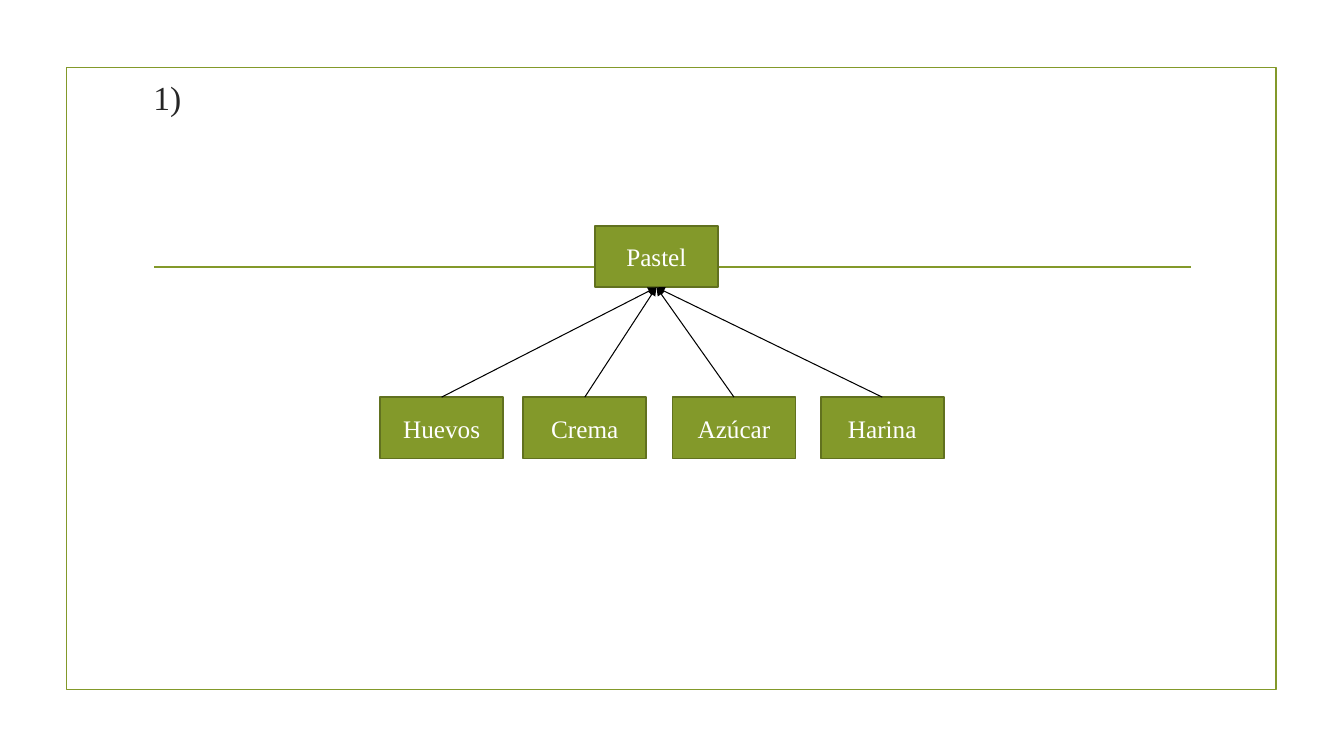
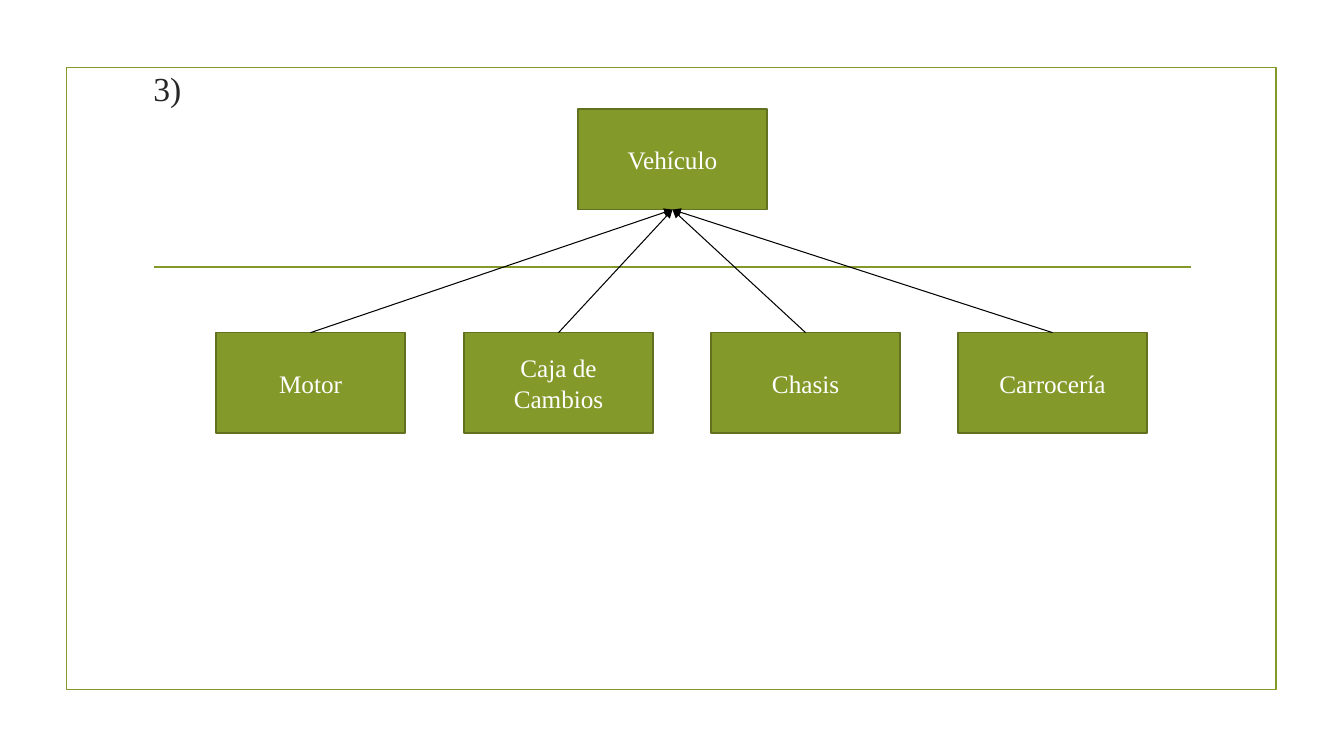
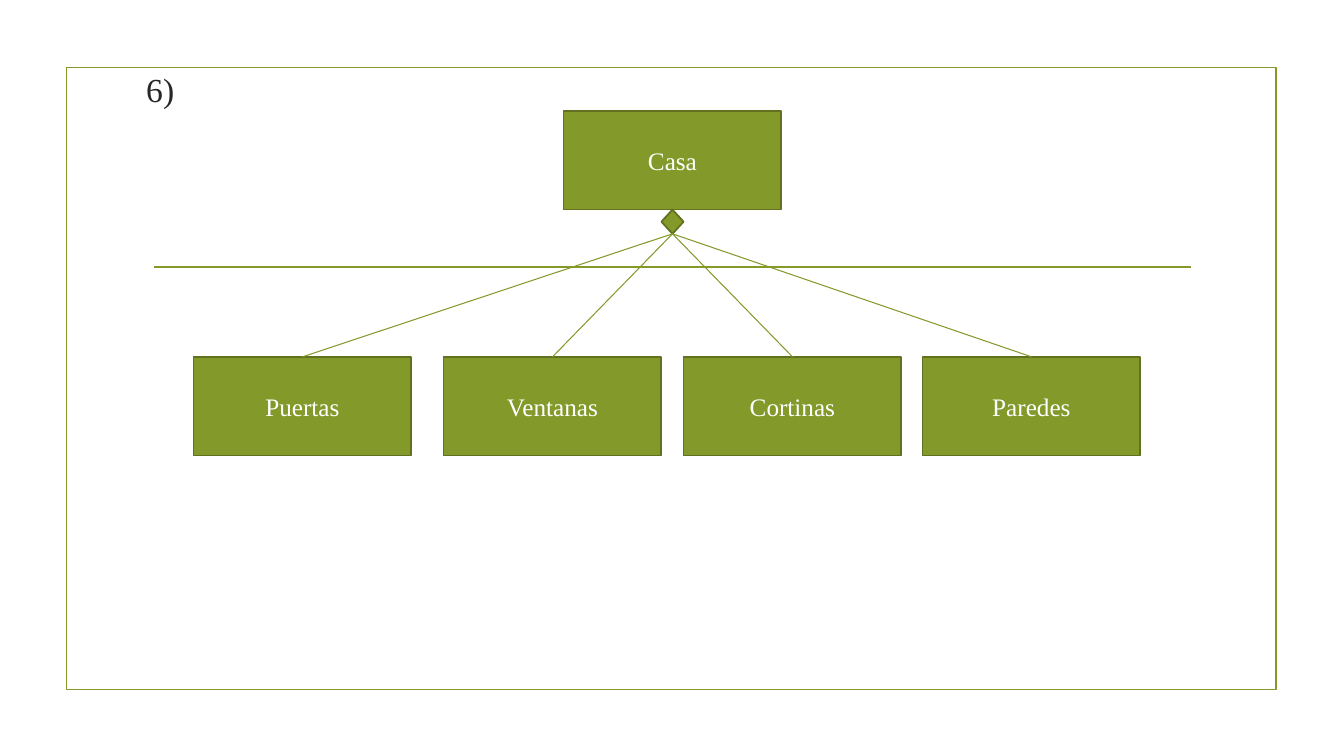
from pptx import Presentation
from pptx.dml.color import RGBColor
from pptx.enum.shapes import MSO_CONNECTOR as Conn, MSO_SHAPE as Geo
from pptx.enum.text import MSO_ANCHOR as Anchor, PP_ALIGN as Align
from pptx.oxml.ns import qn
from pptx.util import Pt
from lxml.etree import SubElement

# Content: a whole and its parts; lengths in px, 100 to the inch
SLIDES = [
    {"title": "1)", "pos": (142, 25), "size": (122, 61),
     "whole": ("Pastel", 590, 224), "row": 394, "kind": "arrow",
     "parts": [("Huevos", 377), ("Crema", 519),
               ("Azúcar", 667), ("Harina", 814)]},
    {"title": "3)", "pos": (142, 16), "size": (188, 100),
     "whole": ("Vehículo", 573, 108), "row": 330, "kind": "arrow",
     "parts": [("Motor", 214), ("Caja de Cambios", 460),
               ("Chasis", 705), ("Carrocería", 950)]},
    {"title": "6)", "pos": (135, 17), "size": (216, 98),
     "whole": ("Casa", 559, 110), "row": 354, "kind": "diamond",
     "parts": [("Puertas", 192), ("Ventanas", 440),
               ("Cortinas", 678), ("Paredes", 915)]},
]
COLOR = {"green": "83992A", "edge": "61711F", "ink": "262626",
         "white": "FFFFFF", "black": "000000"}
FONT = "Times New Roman"
PX = 9144
TITLE = (1050, 143)
FRAME = (66, 67, 1200, 617)
RULE = (153, 265, 1181, 265)
GEM = (22, 24)
TOP, BOTTOM = 0, 2  # connection sites


def emu(*px):
    return [n * PX for n in px]


def rgb(name):
    return RGBColor.from_string(COLOR[name])


def write(shape, text, size=18, color="white", align=Align.CENTER):
    frame = shape.text_frame
    frame.word_wrap = True
    frame.vertical_anchor = Anchor.MIDDLE
    para = frame.paragraphs[0]
    para.text = text
    para.alignment = align
    para.font.name = FONT
    para.font.size = Pt(size)
    para.font.color.rgb = rgb(color)


def box(slide, rect, fill="green", edge="edge", geo=Geo.RECTANGLE):
    shape = slide.shapes.add_shape(geo, *emu(*rect))
    shape.shadow.inherit = False
    if fill:
        shape.fill.solid()
        shape.fill.fore_color.rgb = rgb(fill)
    else:
        shape.fill.background()
    shape.line.color.rgb = rgb(edge)
    shape.line.width = Pt(1.25)
    return shape


def line(slide, ends=(0, 0, 0, 0), color="green", width=0.75):
    link = slide.shapes.add_connector(Conn.STRAIGHT, *emu(*ends))
    link.line.color.rgb = rgb(color)
    link.line.width = Pt(width)
    SubElement(link.element.spPr, qn("a:effectLst"))
    return link


def join(slide, part, whole, arrow):
    link = line(slide, color="black" if arrow else "green")
    link.begin_connect(part, TOP)
    link.end_connect(whole, BOTTOM)
    if arrow:
        SubElement(link.line._get_or_add_ln(), qn("a:tailEnd"), type="triangle")


def share(slide):
    """Move the frame and the rule to the layout, for all slides."""
    tree = slide.slide_layout.shapes.element
    marks = [box(slide, FRAME, fill=None, edge="green"),
             line(slide, RULE, width=1.25)]
    for num, mark in enumerate(marks, 101):
        mark.element.xpath(".//p:cNvPr")[0].set("id", str(num))
        tree.append(mark.element)


def build(slide, data):
    # Title
    title = slide.shapes.title
    title.left, title.top, title.width, title.height = emu(*data["pos"], *TITLE)
    write(title, data["title"], size=24, color="ink", align=Align.JUSTIFY)

    # Whole, with a diamond below it for a composition
    wide, high = data["size"]
    name, left, top = data["whole"]
    hub = box(slide, (left, top, wide, high))
    write(hub, name)
    arrow = data["kind"] == "arrow"
    if not arrow:
        mid = left + (wide - GEM[0]) // 2
        hub = box(slide, (mid, top + high, *GEM), geo=Geo.FLOWCHART_DECISION)

    # Parts and their links
    for name, left in data["parts"]:
        part = box(slide, (left, data["row"], wide, high))
        write(part, name)
        join(slide, part, hub, arrow)


def main():
    prs = Presentation()
    prs.slide_width, prs.slide_height = emu(1333, 750)
    layout = prs.slide_layouts[5]
    for num, data in enumerate(SLIDES):
        slide = prs.slides.add_slide(layout)
        if num == 0:
            share(slide)
        build(slide, data)
    prs.save("out.pptx")


if __name__ == "__main__":
    main()
